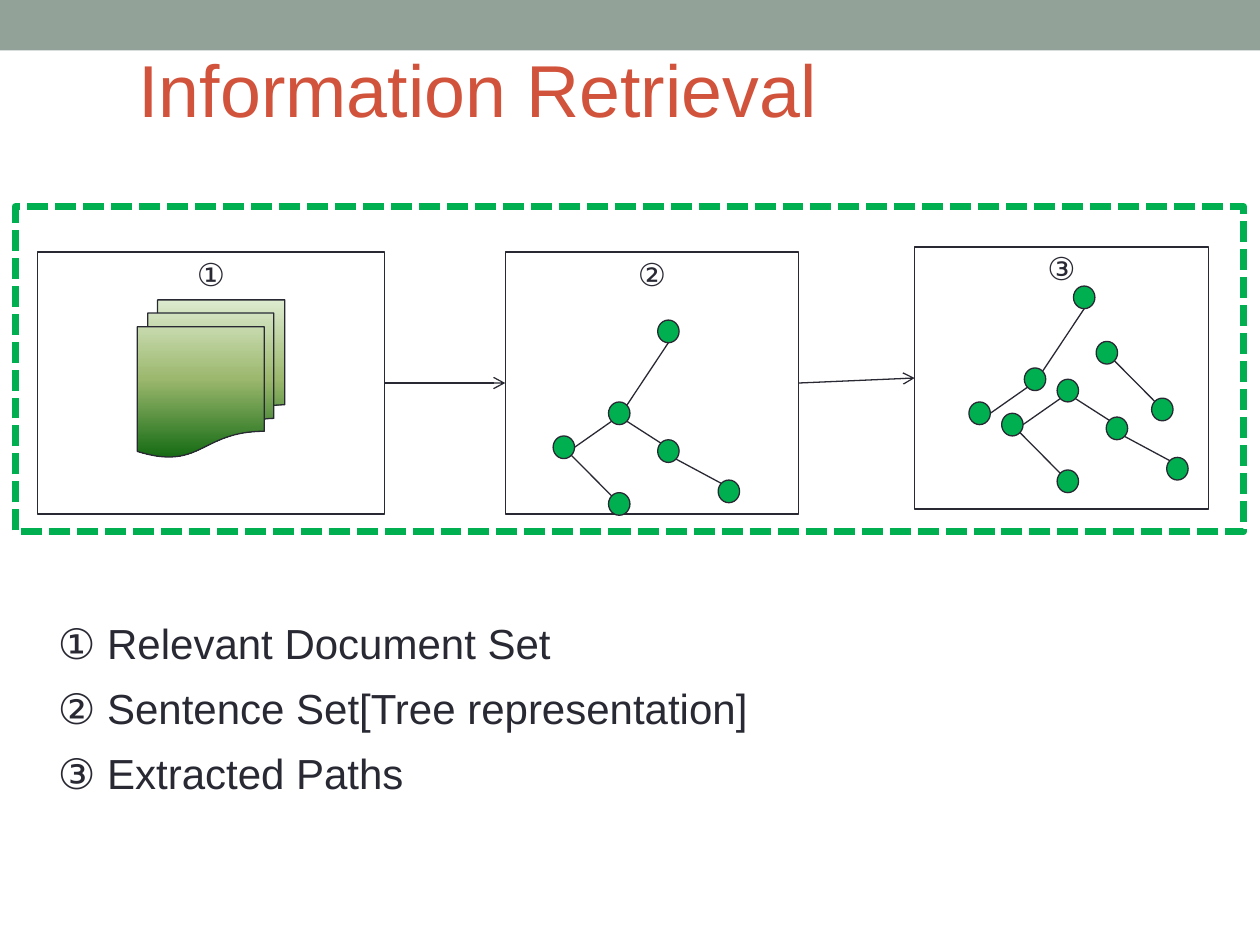
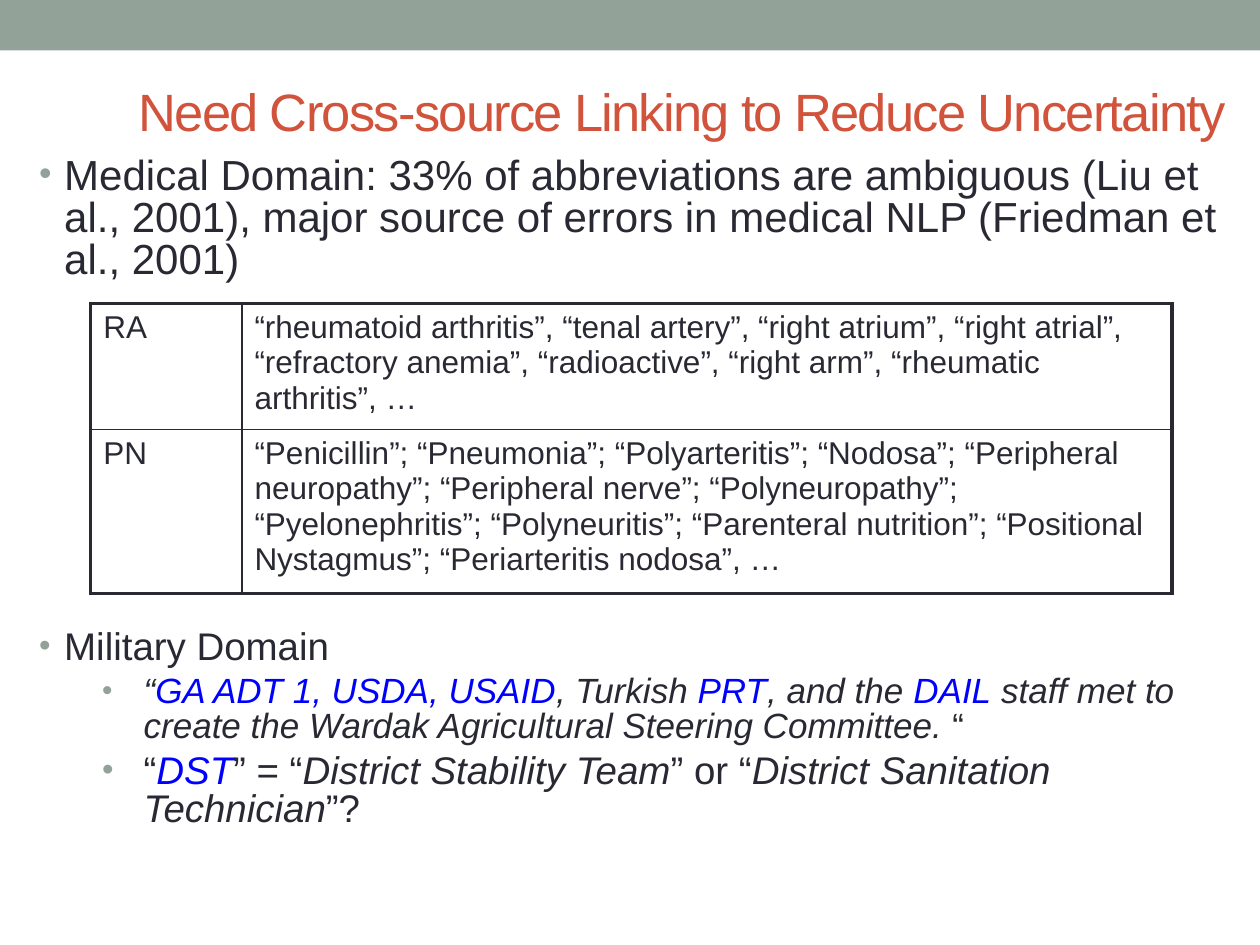
import lxml.etree
import pptx
import pptx.dml.color
import pptx.enum.dml
import pptx.enum.shapes
import pptx.enum.text
import pptx.oxml.ns
import pptx.util

Inches, Pt = pptx.util.Inches, pptx.util.Pt
SHAPE = pptx.enum.shapes.MSO_SHAPE
ANCHOR = pptx.enum.text.MSO_ANCHOR
ALIGN = pptx.enum.text.PP_ALIGN
qn = pptx.oxml.ns.qn

COLORS = {
    "band": "93A299", "title": "D2533C", "ink": "292934", "green": "00B050",
    "blue": "0000FF", "doc_top": "DDEBCF", "doc_mid": "9CB86E", "doc_low": "156B13",
}
FONT = "Arial"

NODE_W, NODE_H = 0.17, 0.18
# Node offsets from the leftmost node of the sentence tree
TREE = {
    "leaf": (0, 0), "hub": (0.44, -0.27), "top": (0.83, -0.92),
    "right": (0.83, 0.03), "far": (1.31, 0.35), "low": (0.44, 0.45),
}
EDGES = [
    ("leaf", "r", "hub", "bl"), ("hub", "tr", "top", "b"), ("hub", "br", "right", "tl"),
    ("right", "br", "far", "tl"), ("leaf", "br", "low", "tl"),
]
# Points on a node's outline, as fractions of its width and height
SITES = {"r": (1, 0.5), "b": (0.5, 1), "tl": (0.15, 0.15), "tr": (0.85, 0.15),
         "bl": (0.15, 0.85), "br": (0.85, 0.85)}

ABBREVIATIONS = [
    ("RA", "“rheumatoid arthritis”, “tenal artery”, “right atrium”, “right atrial”, "
           "“refractory anemia”, “radioactive”, “right arm”, “rheumatic arthritis”, …"),
    ("PN", "“Penicillin”; “Pneumonia”; “Polyarteritis”; “Nodosa”; “Peripheral neuropathy”; "
           "“Peripheral nerve”; “Polyneuropathy”; “Pyelonephritis”; “Polyneuritis”; "
           "“Parenteral nutrition”; “Positional Nystagmus”; “Periarteritis nodosa”, …"),
]


def rgb(name):
    return pptx.dml.color.RGBColor.from_string(COLORS[name])


def sub(parent, tag, **attrs):
    """Append a child element in the DrawingML namespace."""
    return lxml.etree.SubElement(parent, qn(tag), {k: str(v) for k, v in attrs.items()})


def write(p, text, size=24, color="ink", italic=False, tracking=None):
    """Add one formatted run to a paragraph."""
    r = p.add_run()
    r.text = text
    r.font.name, r.font.size, r.font.italic = FONT, Pt(size), italic
    r.font.color.rgb = rgb(color)
    if tracking is not None:
        r._r.get_or_add_rPr().set("spc", str(int(tracking * 100)))


def next_paragraph(tf):
    """Return the empty first paragraph, or a new one."""
    return tf.add_paragraph() if tf.paragraphs[0].runs else tf.paragraphs[0]


def set_list_format(p, margin=0, hang=0, bullet=None):
    pPr = p._p.get_or_add_pPr()
    pPr.set("marL", str(Inches(margin)))
    pPr.set("indent", str(-Inches(hang)))
    if bullet:
        sub(sub(pPr, "a:buClr"), "a:srgbClr", val=COLORS["band"])
        sub(pPr, "a:buSzPct", val=85000)
        sub(pPr, "a:buFont", typeface=FONT)
        sub(pPr, "a:buChar", char=bullet)
    else:
        sub(pPr, "a:buNone")


def add_bullet(tf, runs, size, level=0, before=0):
    p = next_paragraph(tf)
    p.level = level
    margin, hang = [(0.2, 0.2), (0.83, 0.33)][level]
    set_list_format(p, margin, hang, "•")
    p.line_spacing, p.space_before = 0.84, Pt(before)
    for text, fmt in runs:
        write(p, text, size=size, **fmt)


def place(sp, x, y, w, h):
    sp.left, sp.top, sp.width, sp.height = (Inches(v) for v in (x, y, w, h))


def add_shape(s, kind, x, y, w, h, fill=None, line="ink", weight=0.75):
    sp = s.shapes.add_shape(kind, *(Inches(v) for v in (x, y, w, h)))
    sp.shadow.inherit = False
    if fill:
        sp.fill.solid()
        sp.fill.fore_color.rgb = rgb(fill)
    else:
        sp.fill.background()
    if line:
        sp.line.color.rgb = rgb(line)
        sp.line.width = Pt(weight)
    else:
        sp.line.fill.background()
    return sp


def add_line(s, start, end, arrow=False):
    c = s.shapes.add_connector(pptx.enum.shapes.MSO_CONNECTOR.STRAIGHT,
                               *(Inches(v) for v in (*start, *end)))
    c.line.color.rgb = rgb("ink")
    c.line.width = Pt(0.75)
    if arrow:
        sub(c.line._get_or_add_ln(), "a:tailEnd", type="arrow")
    sub(c._element.spPr, "a:effectLst")


def add_panel(s, numeral, x, y, w, h=2.08):
    sp = add_shape(s, SHAPE.RECTANGLE, x, y, w, h)
    tf = sp.text_frame
    tf.vertical_anchor, tf.margin_top = ANCHOR.TOP, Inches(0.02)
    p = tf.paragraphs[0]
    p.alignment = ALIGN.CENTER
    write(p, numeral, size=18)


def add_documents(s, x, y, w, h):
    sp = add_shape(s, SHAPE.FLOWCHART_MULTIDOCUMENT, x, y, w, h)
    sp.fill.gradient()
    sp.fill.gradient_angle = 270
    stops = sp._element.spPr.find(".//" + qn("a:gsLst"))
    for gs in list(stops):
        stops.remove(gs)
    for pos, name in ((0, "doc_top"), (50000, "doc_mid"), (100000, "doc_low")):
        sub(sub(stops, "a:gs", pos=pos), "a:srgbClr", val=COLORS[name])


def add_tree(s, x, y, names=tuple(TREE)):
    """Draw the named tree nodes and the edges among them; x, y is the leaf's corner."""
    def site(name, key):
        (dx, dy), (fx, fy) = TREE[name], SITES[key]
        return x + dx + fx * NODE_W, y + dy + fy * NODE_H

    for name in names:
        dx, dy = TREE[name]
        add_shape(s, SHAPE.OVAL, x + dx, y + dy, NODE_W, NODE_H, fill="green")
    for a, a_site, b, b_site in EDGES:
        if a in names and b in names:
            add_line(s, site(a, a_site), site(b, b_site))


def set_border(cell, side, weight):
    ln = sub(cell._tc.get_or_add_tcPr(), f"a:ln{side}", w=Pt(weight))
    sub(sub(ln, "a:solidFill"), "a:srgbClr", val=COLORS["ink"])


def add_abbreviation_table(s, x, y, widths, heights):
    table = s.shapes.add_table(len(heights), len(widths), Inches(x), Inches(y),
                               Inches(sum(widths)), Inches(sum(heights))).table
    table.first_row = table.horz_banding = False
    for col, w in zip(table.columns, widths):
        col.width = Inches(w)
    for row, h in zip(table.rows, heights):
        row.height = Inches(h)
    for i, row in enumerate(ABBREVIATIONS):
        for j, text in enumerate(row):
            cell = table.cell(i, j)
            write(cell.text_frame.paragraphs[0], text, size=18)
            outer = {"L": j == 0, "R": j == len(widths) - 1,
                     "T": i == 0, "B": i == len(heights) - 1}
            for side, is_outer in outer.items():
                set_border(cell, side, 2.25 if is_outer else 1)
            cell.fill.background()


def new_slide(prs, title, size, top, anchor, tracking=None):
    """Add a slide with the top band and title; return it with its body placeholder."""
    s = prs.slides.add_slide(prs.slide_layouts[1])
    add_shape(s, SHAPE.RECTANGLE, 0, 0, 10, 0.4, fill="band", line=None)
    place(s.shapes.title, 1, top, 9, 1.25)
    body = s.placeholders[1]
    for sp in (s.shapes.title, body):
        sp.text_frame.word_wrap = True
        sp.text_frame.auto_size = pptx.enum.text.MSO_AUTO_SIZE.NONE
    tf = s.shapes.title.text_frame
    tf.vertical_anchor = anchor
    p = tf.paragraphs[0]
    p.alignment = ALIGN.LEFT
    write(p, title, size=size, color="title", tracking=tracking)
    return s, body


def build_retrieval_slide(prs):
    s, body = new_slide(prs, "Information Retrieval", 42, 0.3, ANCHOR.TOP)
    add_panel(s, "①", 0.3, 2, 2.67 + 0.08)
    add_documents(s, 1.09, 2.38, 1.17, 1.25)
    add_panel(s, "②", 4.01, 2, 2.33)
    add_tree(s, 4.39, 3.46)
    add_panel(s, "③", 7.26, 1.96, 2.33)
    add_tree(s, 7.69, 3.19, ("leaf", "hub", "top"))
    add_tree(s, 7.95, 3.28, ("leaf", "hub", "right", "far", "low"))
    add_tree(s, 8.7, 2.71, ("leaf", "low"))
    add_line(s, (3.05, 3.04), (4.01, 3.04), arrow=True)
    add_line(s, (6.34, 3.04), (7.26, 3), arrow=True)
    frame = add_shape(s, SHAPE.RECTANGLE, 0.12, 1.64, 9.75, 2.58, line="green", weight=4)
    frame.line.dash_style = pptx.enum.dml.MSO_LINE.SQUARE_DOT

    place(body, 0.36, 4.85, 9.29, 1.55)
    steps = ("① Relevant Document Set", "② Sentence Set[Tree representation]",
             "③ Extracted Paths")
    for i, step in enumerate(steps):
        p = next_paragraph(body.text_frame)
        set_list_format(p)
        p.space_before = Pt(8.3 if i else 0)
        write(p, step)


def build_linking_slide(prs):
    s, body = new_slide(prs, "Need Cross-source Linking to Reduce Uncertainty", 30, 0.25,
                        ANCHOR.MIDDLE, tracking=-1)
    place(body, 0.21, 1.19, 9.79, 5.75)
    tf = body.text_frame
    plain, slanted = {}, {"italic": True}
    acronym = {"italic": True, "color": "blue"}
    add_bullet(tf, [("Medical Domain: 33% of abbreviations are ambiguous (Liu et al., 2001), "
                     "major source of errors in medical NLP (Friedman et al., 2001)", plain)], 24)
    # The space before this bullet leaves room for the table
    add_bullet(tf, [("Military Domain", plain)], 22, before=198)
    add_bullet(tf, [
        ("“", slanted), ("GA ADT 1, USDA, USAID", acronym), (", Turkish ", slanted),
        ("PRT", acronym), (", and the ", slanted), ("DAIL", acronym),
        (" staff met to create the Wardak Agricultural Steering Committee.", slanted),
        (" “", plain)], 20, level=1, before=4)
    add_bullet(tf, [
        ("“", plain), ("DST", acronym), ("” = “", plain), ("District Stability Team", slanted),
        ("” or “", plain), ("District Sanitation Technician", slanted), ("”?", plain)],
        22, level=1, before=4)
    add_abbreviation_table(s, 0.72, 2.41, (1.2, 7.38), (1, 1.3))


def main():
    prs = pptx.Presentation()
    prs.slide_width, prs.slide_height = Inches(10), Inches(7.5)
    build_retrieval_slide(prs)
    build_linking_slide(prs)
    prs.save("out.pptx")


if __name__ == "__main__":
    main()
